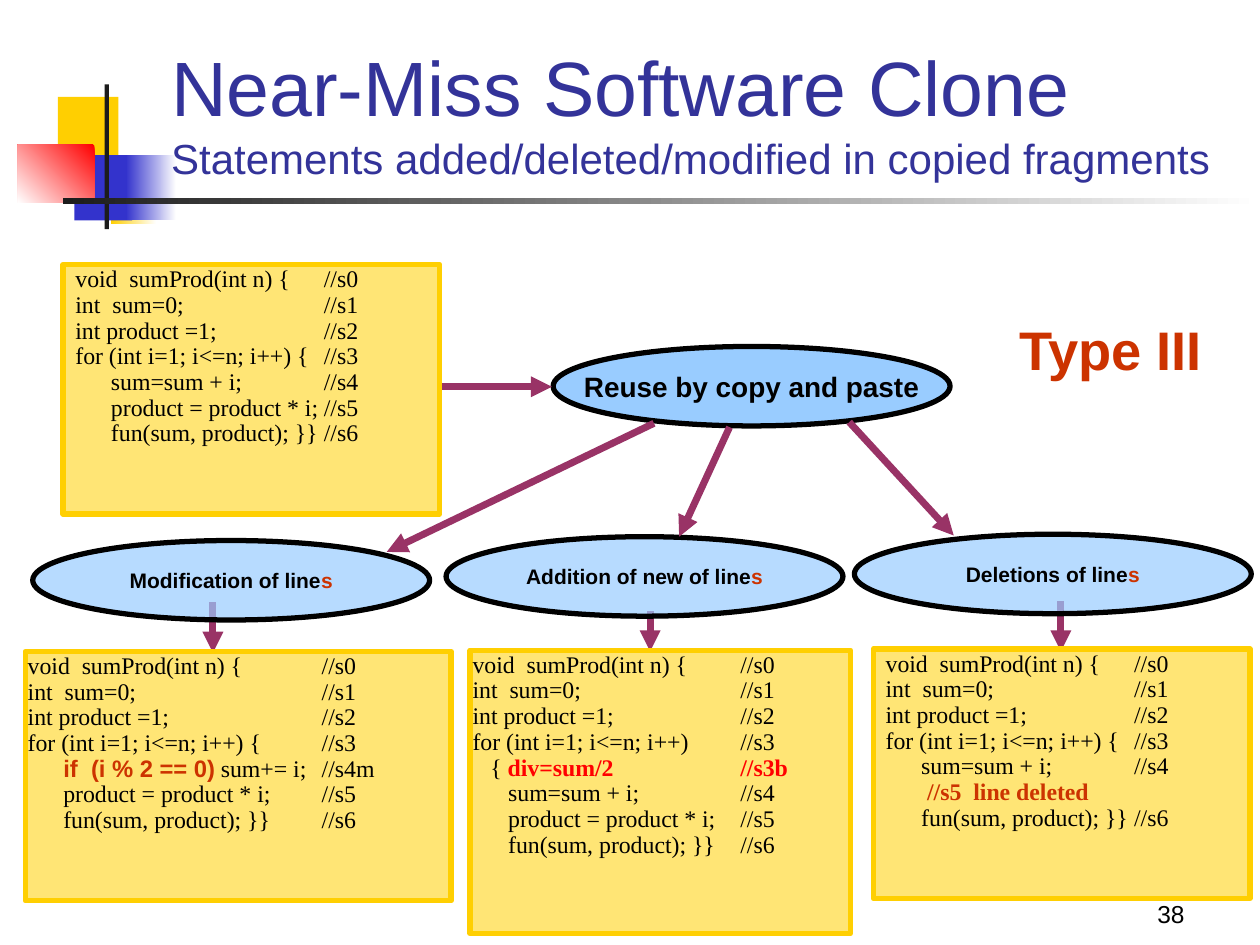
"""Build the slide on near-miss software clones."""
from dataclasses import dataclass
from typing import Any, NamedTuple, Optional

from lxml.etree import SubElement
from pptx import Presentation
from pptx.dml.color import RGBColor
from pptx.enum.shapes import MSO_CONNECTOR, MSO_SHAPE
from pptx.enum.text import MSO_ANCHOR, PP_ALIGN
from pptx.oxml.ns import qn
from pptx.util import Pt

BLACK = RGBColor(0x00, 0x00, 0x00)
WHITE = RGBColor(0xFF, 0xFF, 0xFF)
CHARCOAL = RGBColor(0x1C, 0x1C, 0x1C)
GOLD = RGBColor(0xFF, 0xCF, 0x01)
BLUE = RGBColor(0x33, 0x33, 0xCC)
NAVY = RGBColor(0x33, 0x33, 0x99)
SKY = RGBColor(0x99, 0xCC, 0xFF)
RED = RGBColor(0xFF, 0x00, 0x00)
RUST = RGBColor(0xCC, 0x33, 0x00)
PLUM = RGBColor(0x99, 0x33, 0x66)

CODE = {"name": "Times New Roman", "size": Pt(13.6), "color": BLACK}
LABEL = {"name": "Arial", "size": Pt(12), "color": BLACK, "bold": True}
HEADING = {"name": "Arial", "size": Pt(44), "color": NAVY}


class Run(NamedTuple):
    """Text with its changes to the base format."""
    text: str
    fmt: dict[str, Any] = {}


class Box(NamedTuple):
    """Position and size in points."""
    x: float
    y: float
    w: float
    h: float


@dataclass
class Ornament:
    """A master bar, plain or fading between two colours."""
    box: Box
    color: RGBColor
    end: Optional[RGBColor] = None
    angle: float = 180


@dataclass
class Step:
    """An ellipse in the flow."""
    box: Box
    runs: list[Run]
    size: float = 12
    alpha: int = 70


@dataclass
class Listing:
    """A code panel whose comments line up on one tab stop."""
    box: Box
    inset: float
    tab: float
    lines: list[list[Run]]


def plain(*texts: str) -> list[list[Run]]:
    """Make one unformatted run per line."""
    return [[Run(t)] for t in texts]


OPENING = plain("void  sumProd(int n) {\t//s0", "int  sum=0;\t//s1", "int product =1;\t//s2")
LOOP = plain("for (int i=1; i<=n; i++) {\t//s3")
SUM = plain("      sum=sum + i;\t//s4")
PRODUCT = plain("      product = product * i;\t//s5")
CALL = plain("      fun(sum, product); }}\t//s6")
MODIFIED = [[Run("      "), Run("if  (i % 2 == 0)", {"name": "Arial", "color": RUST, "bold": True}),
             Run(" sum+= i;\t//s4m")]]
ADDED = plain("for (int i=1; i<=n; i++)\t//s3") + [
    [Run("   { "), Run("div=sum/2\t//s3b", {"color": RED, "bold": True})]]
DELETED = [[Run("       "), Run("//s5  line deleted", {"color": RUST, "bold": True})]]

ORNAMENTS = [
    Ornament(Box(33.1, 55.4, 34.6, 37.4), GOLD),
    Ornament(Box(63.4, 90.7, 25.9, 37.4), WHITE, GOLD),
    Ornament(Box(42.5, 88.6, 33.1, 37.4), BLUE),
    Ornament(Box(72, 88.6, 28.8, 37.4), WHITE, BLUE),
    Ornament(Box(10.1, 82.8, 43.9, 33.1), RED, WHITE, 225),
    Ornament(Box(59.8, 48.2, 2.5, 82.8), CHARCOAL),
    Ornament(Box(36, 113, 684, 3.6), WHITE, CHARCOAL),
]
DOWN_ARROWS = [(371.5, 349.2, 371.5, 372.2), (606.2, 343.4, 606.2, 372.2),
               (121.7, 344.2, 121.7, 373)]
FLOW_ARROWS = [(252.7, 221, 315.4, 221), (485.3, 241.2, 545, 306),
               (373.7, 241.9, 221, 315.4), (416.9, 244.1, 388.1, 306.7)]
LETTER_S = Run("s", {"color": RUST})
STEPS = [
    Step(Box(316.1, 198, 226.8, 45.4), [Run("Reuse by copy and paste")], 16, 100),
    Step(Box(254.9, 306.7, 226.8, 45.4), [Run("Addition of new of line"), LETTER_S]),
    Step(Box(488.2, 305.3, 226.8, 45.4), [Run("Deletions of line"), LETTER_S]),
    Step(Box(18.7, 308.9, 226.8, 45.4), [Run("Modification of line"), LETTER_S]),
]
LISTINGS = [
    Listing(Box(36, 151.2, 215.3, 142.6), 7.2, 142, OPENING + LOOP + SUM + PRODUCT + CALL),
    Listing(Box(268.6, 371.5, 217.4, 162), 1.44, 153, OPENING + ADDED + SUM + PRODUCT + CALL),
    Listing(Box(499, 370.8, 215.3, 142.6), 7.2, 142, OPENING + LOOP + SUM + DELETED + CALL),
    Listing(Box(14.4, 372.2, 243.4, 142.6), 1.44, 168,
            OPENING + LOOP + MODIFIED + PRODUCT + CALL),
]


def add_runs(p: Any, runs: list[Run], base: dict[str, Any]) -> None:
    """Append formatted runs to a paragraph."""
    for run in runs:
        r = p.add_run()
        r.text = run.text
        for key, value in {**base, **run.fmt}.items():
            if key == "color":
                r.font.color.rgb = value
            else:
                setattr(r.font, key, value)


def set_frame(tf: Any, inset: tuple[float, float], **fmt: Any) -> None:
    """Set margins and other frame values."""
    x, y = map(Pt, inset)
    values = {"margin_left": x, "margin_right": x, "margin_top": y, "margin_bottom": y, **fmt}
    for key, value in values.items():
        setattr(tf, key, value)


def add_shape(slide: Any, kind: MSO_SHAPE, box: Box, fill: RGBColor,
              line: Optional[RGBColor] = None, alpha: int = 100) -> Any:
    """Add a filled preset shape, outlined if a line colour is given."""
    s = slide.shapes.add_shape(kind, *map(Pt, box))
    s.shadow.inherit = False
    s.fill.solid()
    s.fill.fore_color.rgb = fill
    if alpha < 100:
        color = s.element.spPr.find(qn("a:solidFill"))[0]
        SubElement(color, qn("a:alpha"), val=str(alpha * 1000))
    if line is None:
        s.line.fill.background()
    else:
        s.line.color.rgb = line
        s.line.width = Pt(3)
    return s


def add_ornament(slide: Any, item: Ornament) -> None:
    """Draw one master bar."""
    s = add_shape(slide, MSO_SHAPE.RECTANGLE, item.box, item.color)
    if item.end is not None:
        s.fill.gradient()
        s.fill.gradient_angle = item.angle
        for stop, color in zip(s.fill.gradient_stops, (item.color, item.end)):
            stop.color.rgb = color


def add_arrow(slide: Any, ends: tuple[float, float, float, float]) -> None:
    """Draw a straight arrow."""
    c = slide.shapes.add_connector(MSO_CONNECTOR.STRAIGHT, *map(Pt, ends))
    c.line.color.rgb = PLUM
    c.line.width = Pt(4)
    SubElement(c.element.spPr.find(qn("a:ln")), qn("a:tailEnd"), type="triangle")
    SubElement(c.element.spPr, qn("a:effectLst"))


def add_step(slide: Any, step: Step) -> None:
    """Draw one labelled ellipse."""
    s = add_shape(slide, MSO_SHAPE.OVAL, step.box, SKY, BLACK, step.alpha)
    set_frame(s.text_frame, (7.2, 3.6), word_wrap=False, vertical_anchor=MSO_ANCHOR.MIDDLE)
    p = s.text_frame.paragraphs[0]
    p.alignment = PP_ALIGN.CENTER
    add_runs(p, step.runs, {**LABEL, "size": Pt(step.size)})


def add_listing(slide: Any, item: Listing) -> None:
    """Draw one code panel."""
    s = add_shape(slide, MSO_SHAPE.RECTANGLE, item.box, GOLD, GOLD, 54)
    tf = s.text_frame
    set_frame(tf, (item.inset, 1.44), word_wrap=True, vertical_anchor=MSO_ANCHOR.TOP)
    for i, runs in enumerate(item.lines):
        p = tf.add_paragraph() if i else tf.paragraphs[0]
        p.alignment = PP_ALIGN.LEFT
        p.line_spacing = 0.9
        tabs = SubElement(p._p.get_or_add_pPr(), qn("a:tabLst"))
        SubElement(tabs, qn("a:tab"), pos=str(Pt(item.tab)), algn="l")
        add_runs(p, runs, CODE)


def add_text(slide: Any, box: Box, runs: list[Run], base: dict[str, Any], align: PP_ALIGN,
             anchor: MSO_ANCHOR, wrap: bool = True) -> None:
    """Add a one-paragraph text box."""
    tf = slide.shapes.add_textbox(*map(Pt, box)).text_frame
    set_frame(tf, (7.2, 3.6), word_wrap=wrap, vertical_anchor=anchor)
    tf.paragraphs[0].alignment = align
    add_runs(tf.paragraphs[0], runs, base)


def main() -> None:
    """Draw the slide from back to front and save it."""
    prs = Presentation()
    prs.slide_width, prs.slide_height = Pt(720), Pt(540)
    slide = prs.slides.add_slide(prs.slide_layouts[6])
    for item in ORNAMENTS:
        add_ornament(slide, item)
    add_text(slide, Box(534.2, 498.2, 149.8, 36), [Run("38")],
             {**LABEL, "size": Pt(14), "bold": False}, PP_ALIGN.RIGHT, MSO_ANCHOR.BOTTOM)
    for ends in DOWN_ARROWS:
        add_arrow(slide, ends)
    title = [Run("Near-Miss Software Clone "),
             Run("Statements added/deleted/modified in copied fragments", {"size": Pt(24)})]
    add_text(slide, Box(90.7, 9.4, 613.4, 98.6), title, HEADING, PP_ALIGN.LEFT, MSO_ANCHOR.BOTTOM)
    for listing in LISTINGS:
        add_listing(slide, listing)
    for step in STEPS:
        add_step(slide, step)
    for ends in FLOW_ARROWS:
        add_arrow(slide, ends)
    add_text(slide, Box(575.3, 165, 118.8, 68.4), [Run("Type III")],
             {**LABEL, "size": Pt(31), "color": RUST}, PP_ALIGN.CENTER, MSO_ANCHOR.MIDDLE, False)
    prs.save("out.pptx")


if __name__ == "__main__":
    main()
